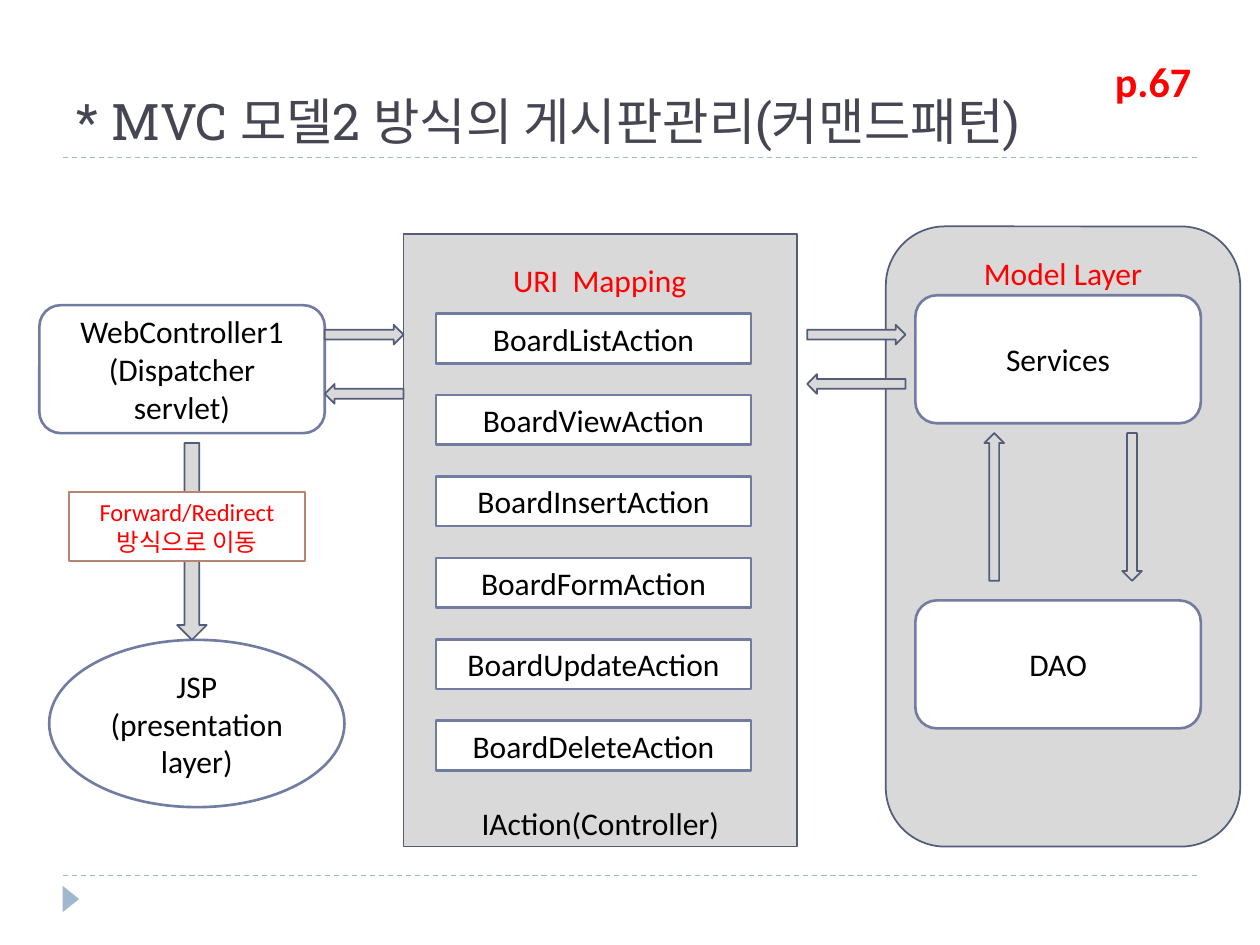
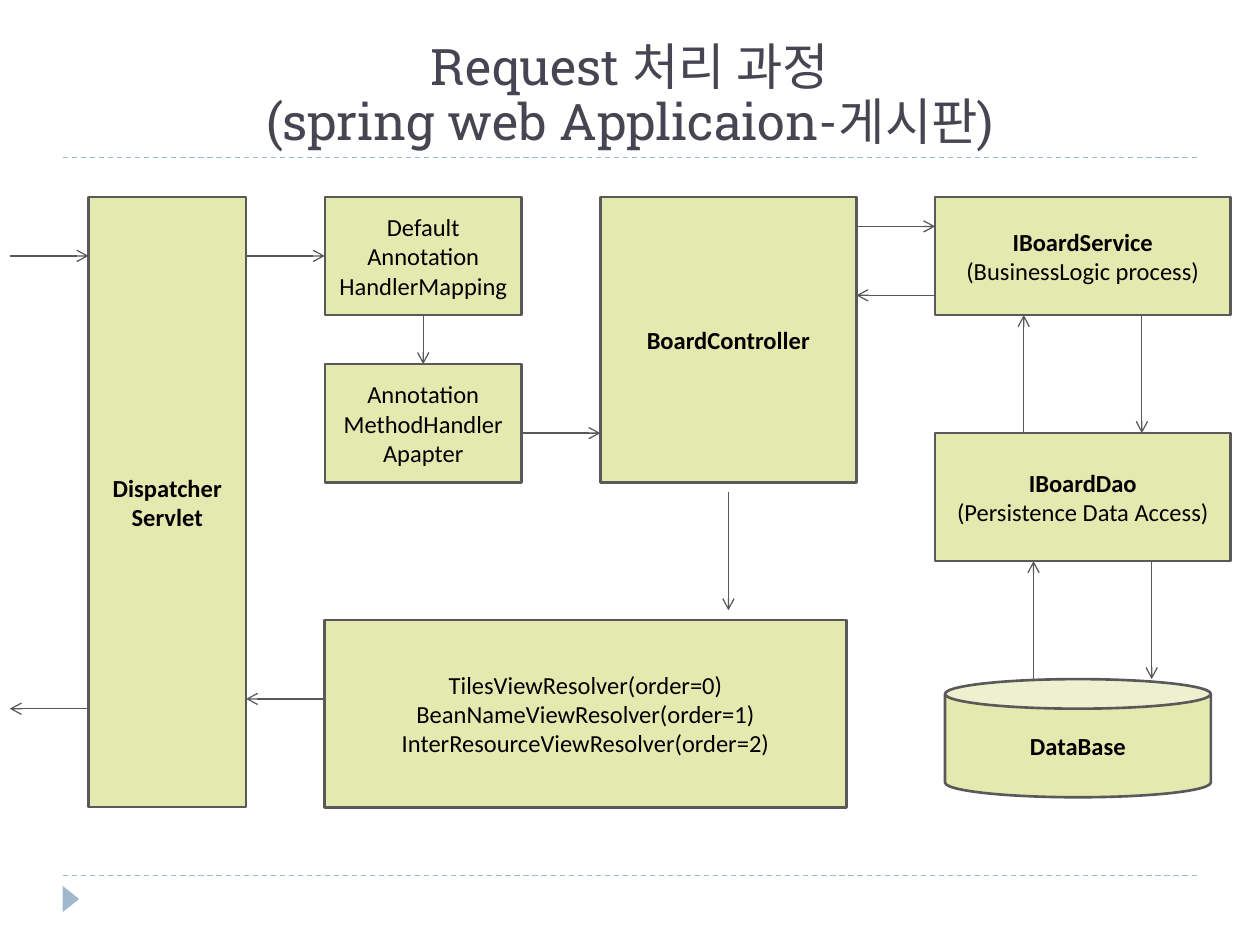
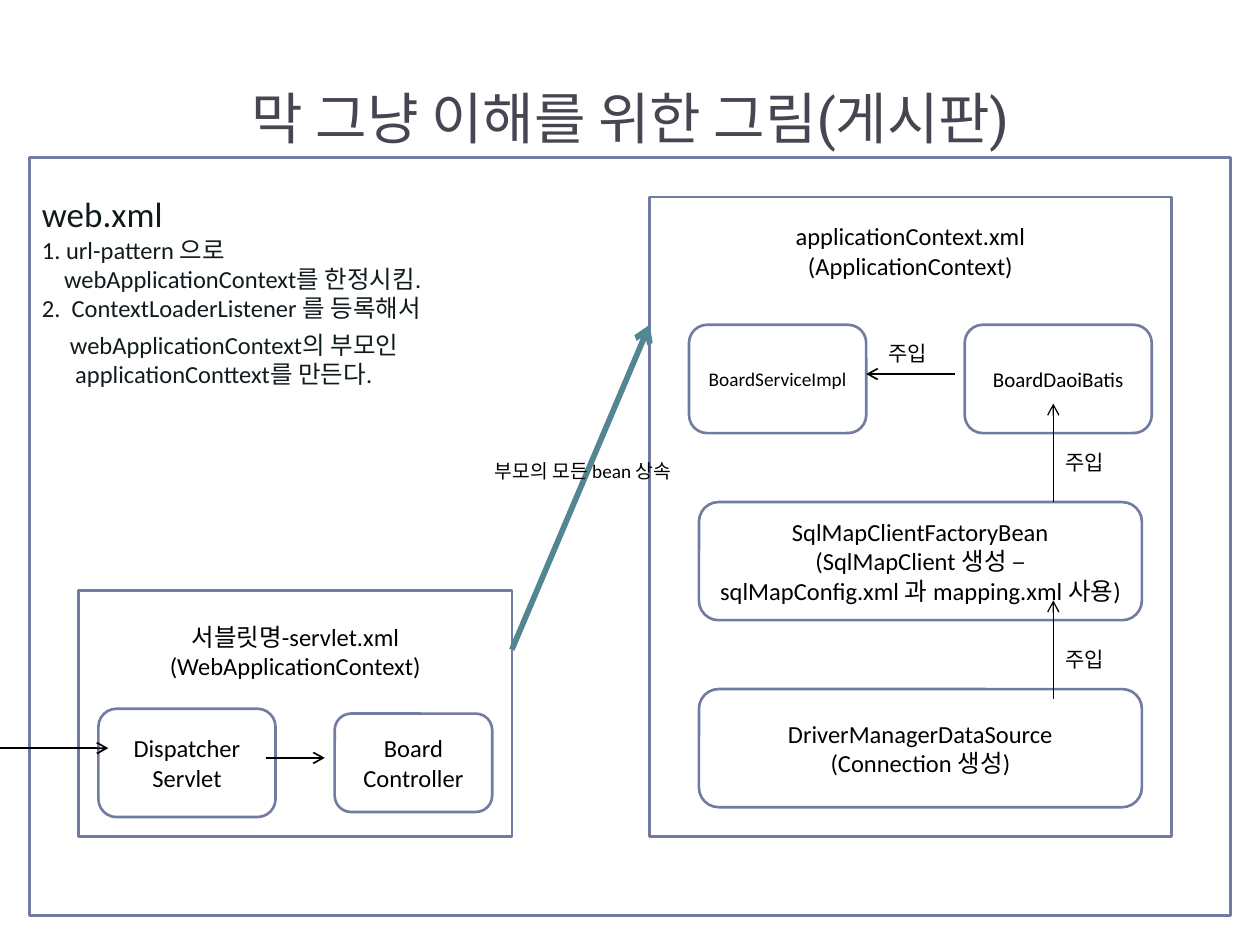
from lxml import etree
from pptx import Presentation
from pptx.dml.color import RGBColor
from pptx.enum.dml import MSO_LINE
from pptx.enum.shapes import MSO_CONNECTOR, MSO_SHAPE
from pptx.enum.text import MSO_ANCHOR, MSO_AUTO_SIZE, PP_ALIGN
from pptx.oxml.ns import qn
from pptx.util import Pt

RECT, ROUND = MSO_SHAPE.RECTANGLE, MSO_SHAPE.ROUNDED_RECTANGLE
OVAL, CAN = MSO_SHAPE.OVAL, MSO_SHAPE.CAN
TRIANGLE = MSO_SHAPE.ISOSCELES_TRIANGLE
RIGHT, LEFT = MSO_SHAPE.RIGHT_ARROW, MSO_SHAPE.LEFT_ARROW
UP, DOWN = MSO_SHAPE.UP_ARROW, MSO_SHAPE.DOWN_ARROW
STRAIGHT, DASH = MSO_CONNECTOR.STRAIGHT, MSO_LINE.DASH
TOP, MIDDLE, BOTTOM = MSO_ANCHOR.TOP, MSO_ANCHOR.MIDDLE, MSO_ANCHOR.BOTTOM
ALIGN_LEFT, CENTER = PP_ALIGN.LEFT, PP_ALIGN.CENTER
NO_AUTOFIT = MSO_AUTO_SIZE.NONE

BODY_FONT, TITLE_FONT = "Calibri", "Roboto Slab"
WHITE, BLACK, RED = "FFFFFF", "000000", "FF0000"
GREY, NAVY, VIOLET = "D9D9D9", "545C79", "727CA3"
GREEN, CHARCOAL, BROWN = "E4E9AF", "595959", "B88472"
TITLE_INK, PALE_BLUE, TEAL, DARK = "464653", "9FB8CD", "528693", "101B1D"
color = RGBColor.from_string


def box(slide, kind, at, lines=(), fill=WHITE, edge=VIOLET, weight=1.5, size=14,
        ink=BLACK, bold_lines=0, align=CENTER, top=None):
    """Add a shape, or a text box when kind is None; top is a top inset."""
    at = [Pt(v) for v in at]
    if kind is None:
        shape = slide.shapes.add_textbox(*at)
    else:
        shape = slide.shapes.add_shape(kind, *at)
        shape.shadow.inherit = False
        shape.fill.solid()
        shape.fill.fore_color.rgb = color(fill)
        if edge:
            shape.line.color.rgb = color(edge)
            shape.line.width = Pt(weight)
        else:
            shape.line.fill.background()
    frame = shape.text_frame
    frame.word_wrap = True
    frame.vertical_anchor = TOP if kind is None or top is not None else MIDDLE
    if top is not None:
        frame.margin_top = Pt(top)
    for i, line in enumerate(lines):
        paragraph = frame.paragraphs[0] if i == 0 else frame.add_paragraph()
        paragraph.alignment = align
        run = paragraph.add_run()
        run.text = line
        run.font.name = BODY_FONT
        run.font.size = Pt(size)
        run.font.bold = i < bold_lines
        run.font.color.rgb = color(ink)
    return shape


def link(slide, ends, ink=CHARCOAL, weight=0.75, head=True):
    line = slide.shapes.add_connector(STRAIGHT, *[Pt(v) for v in ends])
    line.line.color.rgb = color(ink)
    line.line.width = Pt(weight)
    if head:
        etree.SubElement(line.line._get_or_add_ln(), qn("a:tailEnd"), type="arrow")
    etree.SubElement(line._element.spPr, qn("a:effectLst"))
    return line


prs = Presentation()
prs.slide_width, prs.slide_height = Pt(720), Pt(540)

# Shared title, dashed rules and corner marker
slides = []
for title_lines, size, align, footer in [
    (["* MVC 모델2 방식의 게시판관리(커맨드패턴)"], 28.8, ALIGN_LEFT, True),
    (["Request 처리 과정", "(spring web Applicaion-게시판)"], 28.8, CENTER, True),
    (["막 그냥 이해를 위한 그림(게시판)"], 32, CENTER, False),
]:
    slide = prs.slides.add_slide(prs.slide_layouts[5])
    slides.append(slide)
    for y in (500.4, 90) if footer else (90,):
        rule = link(slide, (36, y, 684, y), PALE_BLUE, head=False)
        rule.line.dash_style = DASH
    if footer:
        marker = box(slide, TRIANGLE, (33, 509, 15, 9.4), fill=PALE_BLUE, edge=None)
        marker.rotation = 90
    title = slide.shapes.title
    title.left, title.top, title.width, title.height = Pt(36), Pt(12), Pt(648), Pt(78)
    frame = title.text_frame
    frame.auto_size = NO_AUTOFIT
    frame.word_wrap = True
    frame.vertical_anchor = BOTTOM
    paragraph = frame.paragraphs[0]
    paragraph.alignment = align
    paragraph.line_spacing = 0.9
    for i, text in enumerate(title_lines):
        if i:
            paragraph.add_line_break()
        run = paragraph.add_run()
        run.text = text
        run.font.name = TITLE_FONT
        run.font.size = Pt(size)
        run.font.color.rgb = color(TITLE_INK)
mvc, request, contexts = slides

# Slide 1: layers
box(mvc, ROUND, (506.2, 129.4, 202.5, 354.4), ["Model Layer"], GREY, NAVY, 1, 18, RED, top=6)
box(mvc, RECT, (230.6, 133.9, 225, 349.9), fill=GREY, edge=NAVY, weight=1)
box(mvc, None, (252, 145.4, 181.4, 29), ["URI  Mapping"], size=18, ink=RED)
box(mvc, None, (264.4, 455.6, 157.5, 29), ["IAction(Controller)"], size=18)
for i, action in enumerate(["List", "View", "Insert", "Form", "Update", "Delete"]):
    box(mvc, RECT, (249.2, 179.3 + 46.5 * i, 180, 28.4), [f"Board{action}Action"], size=18)

# Slide 1: components
for x, y, lines in [
    (22.5, 174.4, ["WebController1", "(Dispatcher servlet)"]),
    (523.1, 168.75, ["Services"]),
    (523.1, 343.1, ["DAO"]),
]:
    box(mvc, ROUND, (x, y, 163.1, 73.1), lines, size=18)
box(mvc, OVAL, (28.1, 365.6, 168.75, 95.6), ["JSP", "(presentation layer)"], size=18)

# Slide 1: block arrows
for kind, at in [
    (RIGHT, (185.6, 185.6, 45, 11.25)),
    (LEFT, (185.6, 219.4, 45, 11.25)),
    (RIGHT, (461.25, 185.6, 56.25, 11.25)),
    (LEFT, (461.25, 213.75, 56.25, 11.25)),
    (UP, (562.5, 247.5, 11.25, 84.4)),
    (DOWN, (641.25, 247.5, 11.25, 84.4)),
    (DOWN, (101.25, 253.1, 16.9, 112.5)),
]:
    box(mvc, kind, at, fill=GREY, edge=NAVY, weight=1)
box(mvc, RECT, (39.4, 281.25, 135, 39.4), ["Forward/Redirect 방식으로 이동"], edge=BROWN, ink=RED)
box(mvc, None, (630, 28.1, 62, 36), ["p.67"], size=24, ink=RED, bold_lines=1, align=ALIGN_LEFT)

# Slide 2: components
parts = {}
for key, kind, at, bold_lines, lines in [
    ("dispatcher", RECT, (50.6, 112.5, 90, 348.75), 2, ["Dispatcher", "Servlet"]),
    ("mapping", RECT, (185.6, 112.5, 112.5, 67.5), 0,
     ["Default", "Annotation", "HandlerMapping"]),
    ("controller", RECT, (343.1, 112.5, 146.25, 163.1), 1, ["BoardController"]),
    ("service", RECT, (534.4, 112.5, 168.75, 67.5), 1,
     ["IBoardService", "(BusinessLogic process)"]),
    ("dao", RECT, (534.4, 247.5, 168.75, 73.1), 1,
     ["IBoardDao", "(Persistence Data Access)"]),
    ("database", CAN, (540, 388.1, 151.9, 67.5), 1, ["DataBase"]),
    ("adapter", RECT, (185.6, 208.1, 112.5, 67.5), 0,
     ["Annotation", "MethodHandlerApapter"]),
    ("resolvers", RECT, (185.6, 354.4, 298.1, 106.9), 0,
     ["TilesViewResolver(order=0)", "BeanNameViewResolver(order=1)",
      "InterResourceViewResolver(order=2)"]),
]:
    parts[key] = box(request, kind, at, lines, GREEN, CHARCOAL, bold_lines=bold_lines)

# Slide 2: flow
for ends in [
    (5.6, 146.25, 50.6, 146.25),
    (298.1, 247.5, 343.1, 247.5),
    (489.4, 129.4, 534.4, 129.4),
    (534.4, 168.75, 489.4, 168.75),
    (652.5, 180, 652.5, 247.5),
    (585, 247.5, 585, 180),
    (658.1, 320.6, 658.1, 388.1),
    (590.6, 388.1, 590.6, 320.6),
    (416.25, 281.25, 416.25, 348.75),
    (185.6, 399.4, 140.6, 399.4),
    (50.6, 405, 5.6, 405),
]:
    link(request, ends)
to_mapping = link(request, (140.6, 146.25, 185.6, 146.25))
to_mapping.end_connect(parts["mapping"], 1)
to_adapter = link(request, (241.9, 180, 241.9, 208.1))
to_adapter.begin_connect(parts["mapping"], 2)
to_adapter.end_connect(parts["adapter"], 0)

# Slide 3: web.xml frame with indented notes
web_xml = box(contexts, RECT, (16.9, 90, 686.25, 433.1), [
    "web.xml",
    "1. url-pattern 으로",
    "webApplicationContext를 한정시킴.",
    "2.  ContextLoaderListener 를 등록해서",
    "webApplicationContext의 부모인",
    "applicationConttext를 만든다.",
], ink=DARK, align=ALIGN_LEFT, top=20)
notes = web_xml.text_frame.paragraphs
notes[0].runs[0].font.size = Pt(20)
notes[4].space_before = Pt(4)
for row, indent in [(2, 12.6), (4, 16), (5, 19)]:
    notes[row]._p.get_or_add_pPr().set("marL", str(Pt(indent)))

# Slide 3: the two contexts and their beans
box(contexts, RECT, (45, 337.5, 247.5, 140.6),
    ["서블릿명-servlet.xml", "(WebApplicationContext)"], top=18)
box(contexts, RECT, (371.25, 112.5, 298.1, 365.6),
    ["applicationContext.xml", "(ApplicationContext)"], top=14)
for at, size, lines in [
    ((56.25, 405, 101.25, 61.9), 14, ["Dispatcher", "Servlet"]),
    ((191.25, 407.8, 90, 56.25), 14, ["Board", "Controller"]),
    ((393.75, 185.6, 101.25, 61.9), 11, ["BoardServiceImpl"]),
    ((551.25, 185.6, 106.9, 61.9), 12, ["BoardDaoiBatis"]),
    ((399.4, 286.9, 253.1, 67.5), 14,
     ["SqlMapClientFactoryBean", "(SqlMapClient 생성 –", "sqlMapConfig.xml 과 mapping.xml 사용)"]),
    ((399.4, 393.75, 253.1, 67.5), 14, ["DriverManagerDataSource", "(Connection 생성)"]),
]:
    box(contexts, ROUND, at, lines, size=size)

# Slide 3: inheritance and injection
link(contexts, (292.5, 371.25, 371.25, 185.6), TEAL, 3.25)
box(contexts, None, (275.6, 258.75, 129.4, 20.6), ["부모의 모든 bean 상속"], size=11, align=ALIGN_LEFT)
for ends, weight in [
    ((0, 427.5, 61.9, 427.5), 1),
    ((151.9, 433.1, 185.6, 433.1), 1),
    ((545.6, 213.75, 495, 213.75), 1),
    ((601.9, 287, 601.9, 230.6), 0.75),
    ((601.9, 399.4, 601.9, 343.1), 0.75),
]:
    link(contexts, ends, BLACK, weight)
for x, y in [(500.6, 191.25), (601.9, 253.1), (601.9, 365.6)]:
    box(contexts, None, (x, y, 45, 21.8), ["주입"], size=12, align=ALIGN_LEFT)

prs.save("out.pptx")
